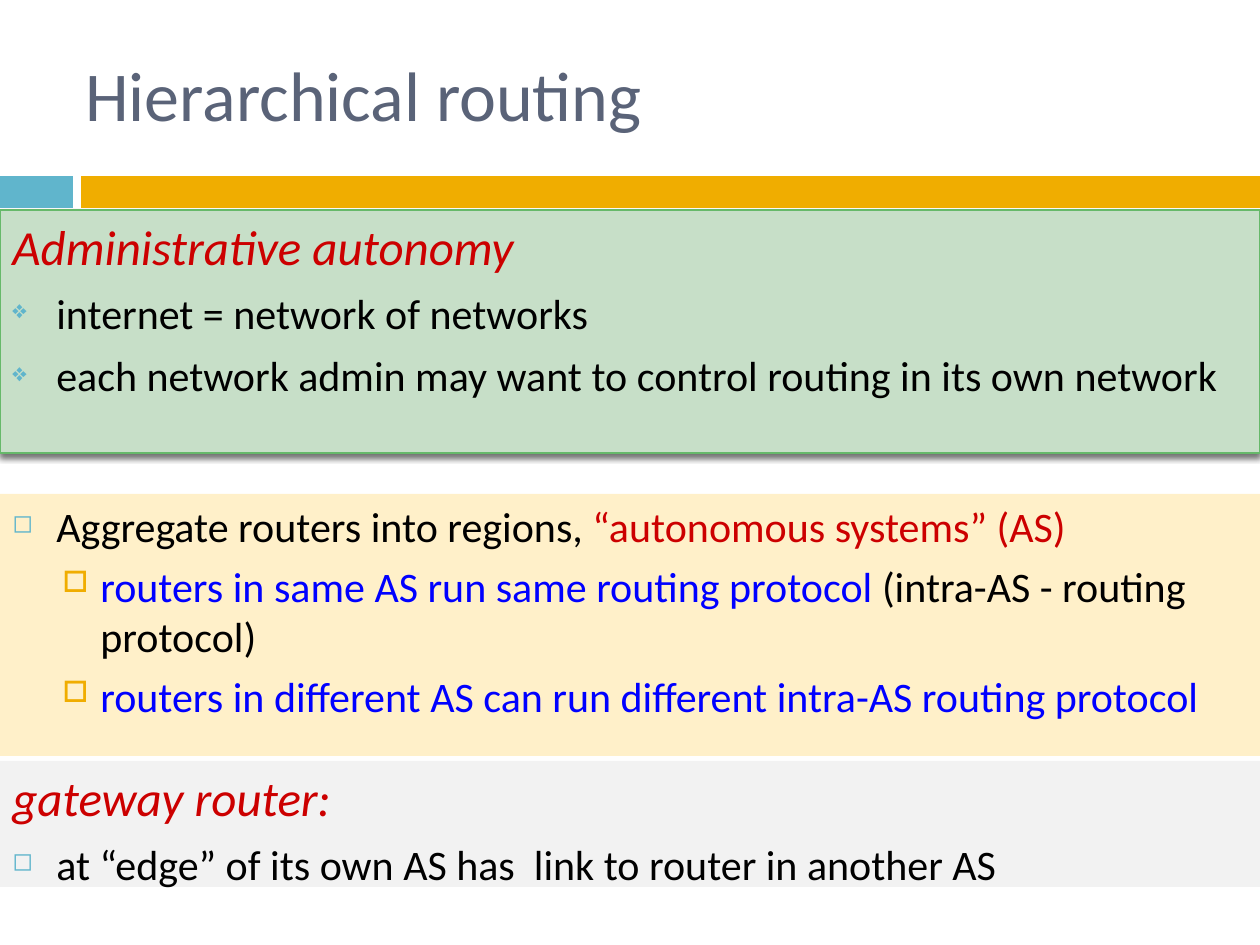
from lxml.etree import SubElement as Sub
from pptx import Presentation
from pptx.dml.color import RGBColor
from pptx.enum.shapes import MSO_SHAPE as Kind
from pptx.enum.text import MSO_ANCHOR as Anchor, PP_ALIGN as Align
from pptx.oxml.ns import qn
from pptx.util import Emu, Pt

SCALE = 914400 / 126
WIDTH, HEIGHT = 1260, 945
FONT = "Calibri"
RED, BLUE, BLACK = "CC0000", "0000FF", "000000"
TEAL, GOLD, SLATE = "60B5CC", "F0AD00", "5A6378"
HEAD = dict(inset=44, hang=44, space=7, mark=None)
DIAMOND = dict(HEAD, mark=("❖", TEAL, 60))
SQUARE = dict(HEAD, mark=("◻", TEAL, 60))
SUB = dict(inset=88, hang=38, space=5.5, mark=("□", GOLD, 70), level=1)


def px(num):
    """Turn pixels into EMU."""
    return Emu(round(num * SCALE))


def color(code):
    """Turn a hex string into a colour."""
    return RGBColor.from_string(code)


def add_rect(slide, box, fill, line=None):
    """Add a flat rectangle."""
    rect = slide.shapes.add_shape(Kind.RECTANGLE, *map(px, box))
    rect.shadow.inherit = False
    rect.fill.solid()
    rect.fill.fore_color.rgb = color(fill)
    if line:
        rect.line.color.rgb = color(line)
        rect.line.width = Pt(0.75)
    else:
        rect.line.fill.background()
    return rect


def add_shade(shape):
    """Give a shape a soft shadow below."""
    effects = shape._element.spPr.find(qn("a:effectLst"))
    shade = Sub(effects, qn("a:outerShdw"), blurRad="40000", dist="30000",
                dir="5400000", rotWithShape="0")
    tint = Sub(shade, qn("a:srgbClr"), val="000000")
    Sub(tint, qn("a:alpha"), val="55000")


def style_para(para, look, first):
    """Set indent, spacing and bullet of a paragraph."""
    para.alignment = Align.LEFT
    para.level = look.get("level", 0)
    para.space_before = Pt(0 if first else look["space"])
    props = para._p.get_or_add_pPr()
    props.set("marL", str(px(look["inset"])))
    props.set("indent", str(-px(look["hang"])))
    if look["mark"]:
        char, tint, size = look["mark"]
        Sub(Sub(props, qn("a:buClr")), qn("a:srgbClr"), val=tint)
        Sub(props, qn("a:buSzPct"), val=str(size * 1000))
        Sub(props, qn("a:buChar"), char=char)
    else:
        Sub(props, qn("a:buNone"))


def add_run(para, text, code, size, slant=False):
    """Add one styled run."""
    run = para.add_run()
    run.text = text
    font = run.font
    font.name, font.size, font.italic = FONT, Pt(size), slant
    font.color.rgb = color(code)


def add_panel(slide, box, fill, items, line=None):
    """Add a filled panel of headings and bullets."""
    panel = add_rect(slide, box, fill, line)
    frame = panel.text_frame
    frame.word_wrap = True
    frame.vertical_anchor = Anchor.TOP
    for idx, (look, parts) in enumerate(items):
        para = frame.add_paragraph() if idx else frame.paragraphs[0]
        style_para(para, look, idx == 0)
        head = look is HEAD
        for text, code in parts:
            add_run(para, text, code, 28 if head else 24, head)
    return panel


def add_title(slide, box, text):
    """Add the slide title."""
    frame = slide.shapes.add_textbox(*map(px, box)).text_frame
    frame.word_wrap = True
    frame.vertical_anchor = Anchor.MIDDLE
    add_run(frame.paragraphs[0], text, SLATE, 40)


def add_band(slide, box):
    """Add the two-colour band below the title."""
    left, top, width, height = box
    tab, gap = 73, 8
    add_rect(slide, (left, top, tab, height), TEAL)
    start = tab + gap
    add_rect(slide, (left + start, top, width - start, height), GOLD)


def main():
    """Build and save the deck."""
    deck = Presentation()
    deck.slide_width, deck.slide_height = px(WIDTH), px(HEIGHT)
    slide = deck.slides.add_slide(deck.slide_layouts[6])
    add_band(slide, (0, 176, WIDTH, 32))
    add_title(slide, (73, 33, 712, 122), "Hierarchical routing")
    green = add_panel(slide, (0, 210, WIDTH, 243), "C7DFC8", [
        (HEAD, [("Administrative autonomy", RED)]),
        (DIAMOND, [("internet = network of networks", BLACK)]),
        (DIAMOND, [("each network admin may want to control routing "
                    "in its own network", BLACK)]),
    ], "66B96A")
    add_shade(green)
    add_panel(slide, (0, 494, WIDTH, 262), "FFF0C9", [
        (SQUARE, [("Aggregate routers into regions, ", BLACK),
                  ("“autonomous systems” (AS)", RED)]),
        (SUB, [("routers in same AS run same routing protocol ", BLUE),
               ("(intra-AS - routing protocol)", BLACK)]),
        (SUB, [("routers in different AS can run different "
                "intra-AS routing protocol", BLUE)]),
    ])
    add_panel(slide, (0, 761, WIDTH, 126), "F2F2F2", [
        (HEAD, [("gateway router:", RED)]),
        (SQUARE, [("at “edge” of its own AS has  link to router "
                   "in another AS", BLACK)]),
    ])
    deck.save("out.pptx")


if __name__ == "__main__":
    main()
